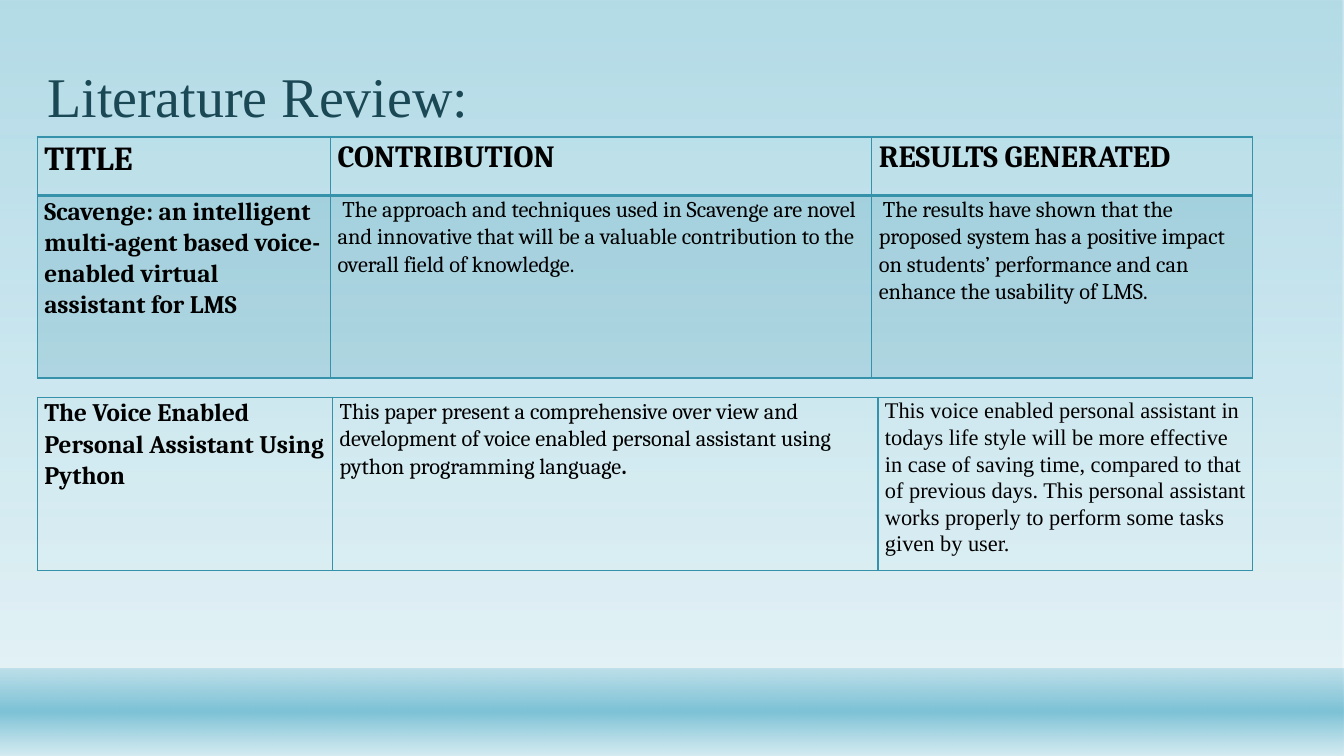
from lxml import etree
from pptx import Presentation
from pptx.dml.color import RGBColor
from pptx.enum.shapes import MSO_SHAPE
from pptx.enum.text import MSO_ANCHOR, MSO_AUTO_SIZE, PP_ALIGN
from pptx.oxml import parse_xml
from pptx.oxml.ns import nsdecls, qn
from pptx.util import Pt

RECTANGLE = MSO_SHAPE.RECTANGLE
BOTTOM = MSO_ANCHOR.BOTTOM
NO_AUTOFIT = MSO_AUTO_SIZE.NONE
LEFT = PP_ALIGN.LEFT

BLACK = RGBColor(0x00, 0x00, 0x00)
DARK_TEAL = RGBColor(0x1B, 0x48, 0x55)
TEAL = RGBColor(0x36, 0x91, 0xAA)
SKY = RGBColor(0x7D, 0xC2, 0xD6)
PALE = RGBColor(0xD4, 0xEB, 0xF1)

SERIF = "Times New Roman"
HEADING = "Cambria"
SLIDE_WIDTH, SLIDE_HEIGHT = 960, 540
MARGIN_LEFT = 26.64

# Each cell is a list of runs: text, size, bold, font
HEADER_ROW = [
    [("TITLE", 24, True, HEADING)],
    [("CONTRIBUTION", 22, True, HEADING)],
    [("RESULTS GENERATED", 22, True, HEADING)],
]
SCAVENGE_ROW = [
    [("Scavenge: an intelligent multi-agent based voice-enabled virtual "
      "assistant for LMS", 18, True, HEADING)],
    [(" The approach and techniques used in Scavenge are novel and innovative "
      "that will be a valuable contribution to the overall field of knowledge.",
      16, False, HEADING)],
    [(" ", 13, False, HEADING),
     ("The results have shown that the proposed system has a positive impact "
      "on students’ performance and can enhance the usability of LMS.",
      16, False, HEADING)],
]
PYTHON_ROW = [
    [("The Voice Enabled Personal Assistant Using Python", 18, True, HEADING)],
    [("This paper present a comprehensive over view and development of voice "
      "enabled personal assistant using python programming language",
      16, False, HEADING),
     (".", 16, True, HEADING)],
    [("This voice enabled personal assistant in todays life style will be more "
      "effective in case of saving time, compared to that of previous days. "
      "This personal assistant works properly to perform some tasks given by "
      "user.", 16, False, SERIF)],
]


def add_run(paragraph, text, size, bold, font_name, color):
    run = paragraph.add_run()
    run.text = text
    run.font.size = Pt(size)
    run.font.bold = bold
    run.font.name = font_name
    run.font.color.rgb = color


def add_gradient_band(slide, layer, top, height, stops):
    """Full-width band; stops are (position %, colour, opacity %)."""
    shape = slide.shapes.add_shape(
        RECTANGLE, 0, Pt(top), Pt(SLIDE_WIDTH), Pt(height))
    shape.shadow.inherit = False
    shape.line.fill.background()
    stop_xml = "".join(
        f'<a:gs pos="{position * 1000}"><a:srgbClr val="{color}">'
        f'<a:alpha val="{opacity * 1000}"/></a:srgbClr></a:gs>'
        for position, color, opacity in stops)
    gradient = parse_xml(
        f'<a:gradFill {nsdecls("a")} rotWithShape="1"><a:gsLst>{stop_xml}'
        '</a:gsLst><a:lin ang="5400000" scaled="0"/></a:gradFill>')
    shape.element.spPr.find(qn("a:prstGeom")).addnext(gradient)
    # Place the band behind the title
    slide.shapes._spTree.insert(2 + layer, shape.element)


def format_title(title):
    title.left, title.top = Pt(MARGIN_LEFT), Pt(MARGIN_LEFT)
    title.width, title.height = Pt(673.92), Pt(117.36)
    frame = title.text_frame
    frame.word_wrap = True
    frame.auto_size = NO_AUTOFIT
    frame.vertical_anchor = BOTTOM
    frame.margin_left = frame.margin_right = Pt(7.2)
    frame.margin_bottom = Pt(52)
    paragraph = frame.paragraphs[0]
    paragraph.alignment = LEFT
    paragraph.line_spacing = 1.07
    paragraph.space_before = Pt(0)
    add_run(paragraph, "Literature Review:", 40, False, SERIF, DARK_TEAL)


def set_borders(cell, top_width, bottom_width):
    properties = cell._tc.get_or_add_tcPr()
    widths = {"lnL": 1, "lnR": 1, "lnT": top_width, "lnB": bottom_width}
    for tag, width in widths.items():
        line = etree.SubElement(properties, qn(f"a:{tag}"), w=str(Pt(width)))
        fill = etree.SubElement(line, qn("a:solidFill"))
        etree.SubElement(fill, qn("a:srgbClr"), val=str(TEAL))


def fill_cell(cell, opacity):
    if not opacity:
        cell.fill.background()
        return
    cell.fill.solid()
    cell.fill.fore_color.rgb = TEAL
    color = cell._tc.tcPr.find(qn("a:solidFill")).find(qn("a:srgbClr"))
    etree.SubElement(color, qn("a:alpha"), val=str(opacity * 1000))


def add_review_table(slide, top, column_widths, rows):
    """Rows are (height, cells, fill opacity %, top line, bottom line)."""
    height = sum(row[0] for row in rows)
    table = slide.shapes.add_table(
        len(rows), len(column_widths), Pt(MARGIN_LEFT), Pt(top),
        Pt(sum(column_widths)), Pt(height)).table
    table.first_row = table.horz_banding = False
    for column, width in zip(table.columns, column_widths):
        column.width = Pt(width)
    for row, (height, cells, opacity, top_line, bottom_line) in zip(table.rows, rows):
        row.height = Pt(height)
        for cell, runs in zip(row.cells, cells):
            cell.margin_left = cell.margin_right = Pt(5)
            cell.margin_top = cell.margin_bottom = 0
            set_borders(cell, top_line, bottom_line)
            fill_cell(cell, opacity)
            paragraph = cell.text_frame.paragraphs[0]
            paragraph.line_spacing = 1.07
            paragraph.space_after = Pt(8)
            for run in runs:
                add_run(paragraph, *run, BLACK)


def main():
    presentation = Presentation()
    presentation.slide_width = Pt(SLIDE_WIDTH)
    presentation.slide_height = Pt(SLIDE_HEIGHT)
    slide = presentation.slides.add_slide(presentation.slide_layouts[5])

    # Background
    add_gradient_band(slide, 0, 0, SLIDE_HEIGHT, [(0, SKY, 58), (88, PALE, 65)])
    add_gradient_band(slide, 1, 477.36, SLIDE_HEIGHT - 477.36,
                      [(1, SKY, 38), (49, SKY, 100), (100, PALE, 89)])

    # Title
    format_title(slide.shapes.title)

    # Reviewed papers
    add_review_table(slide, 97.92, [209.52, 386.64, 272.16],
                     [(41.76, HEADER_ROW, 0, 1, 2),
                      (130.32, SCAVENGE_ROW, 20, 2, 1)])
    add_review_table(slide, 283.68, [210.96, 389.52, 267.84],
                     [(123.84, PYTHON_ROW, 0, 1, 1)])

    presentation.save("out.pptx")


if __name__ == "__main__":
    main()
